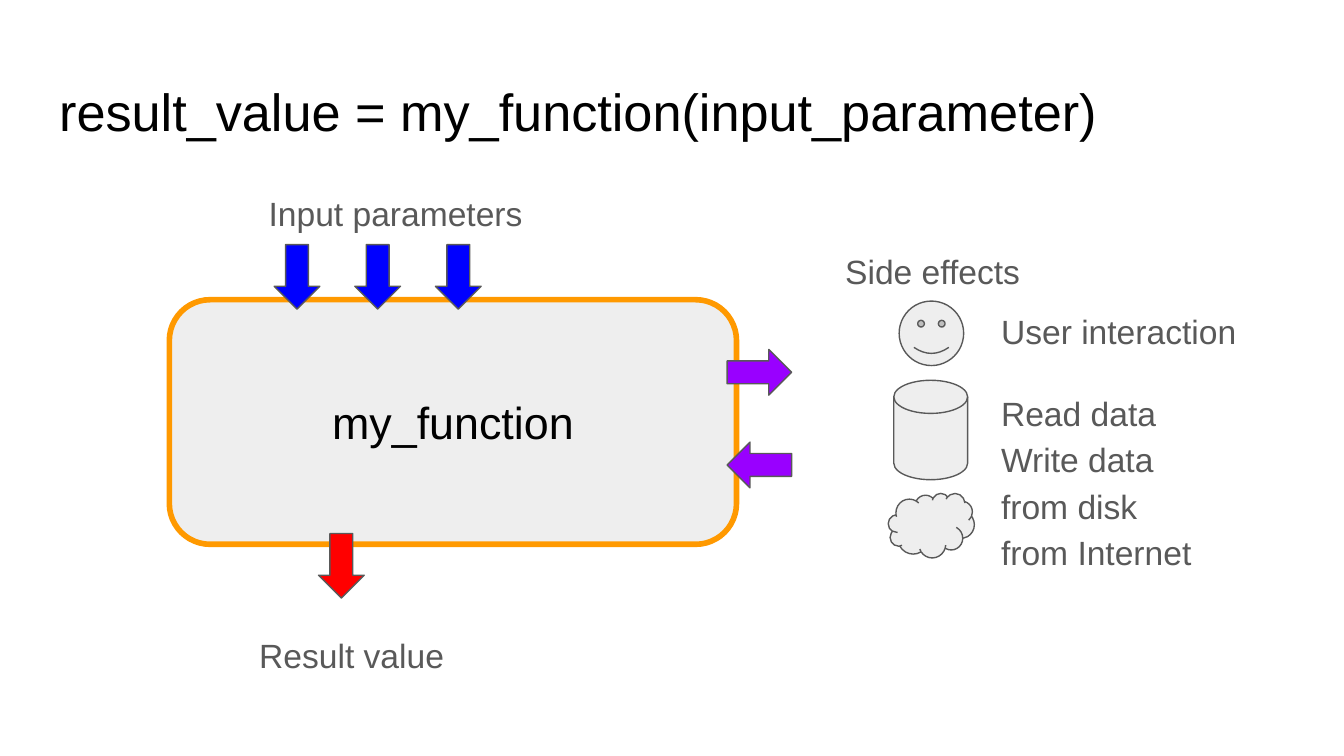
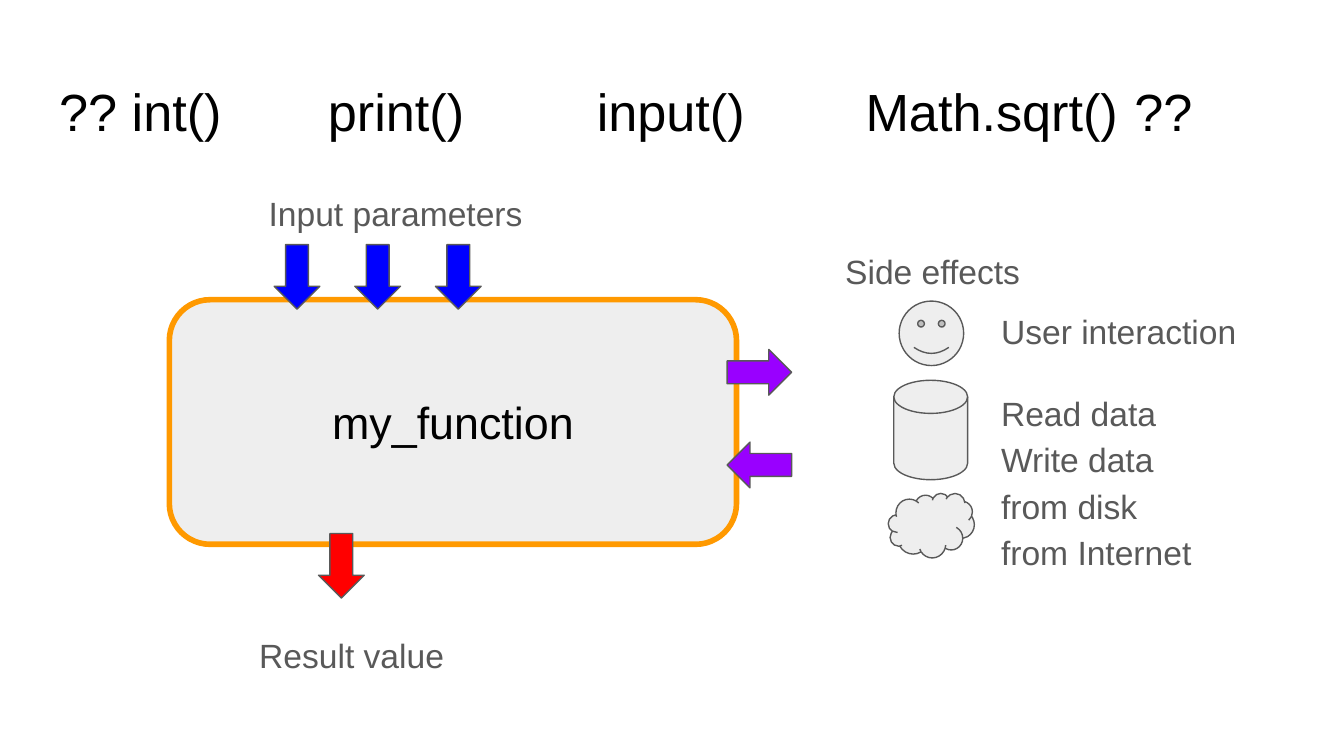
from dataclasses import dataclass

from lxml.etree import SubElement
from pptx import Presentation
from pptx.dml.color import RGBColor
from pptx.enum.shapes import MSO_SHAPE
from pptx.enum.text import MSO_ANCHOR, MSO_AUTO_SIZE, PP_ALIGN
from pptx.oxml.ns import qn
from pptx.shapes.autoshape import Shape
from pptx.slide import Slide
from pptx.text.text import TextFrame
from pptx.util import Inches, Pt

WIDTH = Inches(10)
HEIGHT = WIDTH * 9 // 16
FONT = "Arial"
BLACK, GRAY, PALE = "000000", "595959", "EEEEEE"
ORANGE, BLUE, RED, PURPLE = "FF9900", "0000FF", "FF0000", "9900FF"
TITLES = (
    "result_value = my_function(input_parameter)",
    "?? int()\tprint()\tinput()\tMath.sqrt()\t??",
)
TAB_GAP = 2
ROW = 0.63
ARROW = (0.34, 0.48)
FRAME = {
    "word_wrap": True,
    "auto_size": MSO_AUTO_SIZE.NONE,
    "margin_left": Inches(0.1),
    "margin_right": Inches(0.1),
    "margin_top": Inches(0.1),
    "margin_bottom": Inches(0.1),
}


@dataclass(frozen=True)
class Label:
    text: str
    left: float
    top: float
    width: float = 2.69


@dataclass(frozen=True)
class Arrow:
    left: float
    top: float
    fill: str
    turn: int = 0


@dataclass(frozen=True)
class Icon:
    kind: MSO_SHAPE
    box: tuple[float, float, float, float]


LABELS = (
    Label("Input parameters", 1.9, 1.29),
    Label("Side effects", 6.19, 1.72),
    Label("Result value", 1.83, 4.58),
    Label("User interaction", 7.35, 2.17, 2.25),
    Label("Read data\nWrite data\nfrom disk\nfrom Internet", 7.35, 2.78, 2.25),
)
ARROWS = (
    *(Arrow(2.04 + 0.6 * step, 1.82, BLUE) for step in range(3)),
    Arrow(2.37, 3.97, RED),
    Arrow(5.48, 2.53, PURPLE, 270),
    Arrow(5.48, 3.22, PURPLE, 90),
)
ICONS = (
    Icon(MSO_SHAPE.FLOWCHART_MAGNETIC_DISK, (6.65, 2.83, 0.55, 0.74)),
    Icon(MSO_SHAPE.SMILEY_FACE, (6.69, 2.24, 0.48, 0.48)),
    Icon(MSO_SHAPE.CLOUD, (6.61, 3.67, 0.64, 0.48)),
)


def apply(target: object, values: dict) -> None:
    """Set each named attribute on the target."""
    for name, value in values.items():
        setattr(target, name, value)


def color(code: str) -> RGBColor:
    """Turn a hex string into a colour."""
    return RGBColor.from_string(code)


def write(frame: TextFrame, text: str, size: int, tint: str,
          anchor: MSO_ANCHOR = MSO_ANCHOR.TOP, tabs: int = 0, **style) -> None:
    """Fill a frame with one styled paragraph."""
    apply(frame, FRAME | {"vertical_anchor": anchor})
    para = frame.paragraphs[0]
    para.text = text
    apply(para, {"alignment": PP_ALIGN.LEFT} | style)
    if tabs:
        stops = SubElement(para._p.get_or_add_pPr(), qn("a:tabLst"))
        for step in range(1, tabs + 1):
            place = str(Inches(TAB_GAP * step))
            SubElement(stops, qn("a:tab"), pos=place, algn="l")
    for run in para.runs:
        apply(run.font, {"name": FONT, "size": Pt(size)})
        run.font.color.rgb = color(tint)


def draw(slide: Slide, kind: MSO_SHAPE, box: tuple[float, ...], fill: str,
         edge: str = GRAY, weight: float = 0.75) -> Shape:
    """Draw a filled and outlined preset shape."""
    shape = slide.shapes.add_shape(kind, *map(Inches, box))
    shape.shadow.inherit = False
    shape.fill.solid()
    shape.fill.fore_color.rgb = color(fill)
    shape.line.color.rgb = color(edge)
    shape.line.width = Pt(weight)
    return shape


def add_title(slide: Slide, text: str) -> None:
    """Place and style the title."""
    title = slide.shapes.title
    apply(title, {"left": Inches(0.34), "top": Inches(0.49),
                  "width": Inches(9.32), "height": Inches(ROW)})
    write(title.text_frame, text, 28, BLACK, tabs=text.count("\t"))


def add_label(slide: Slide, label: Label) -> None:
    """Add a gray caption."""
    box = (label.left, label.top, label.width, ROW)
    frame = slide.shapes.add_textbox(*map(Inches, box)).text_frame
    write(frame, label.text, 18, GRAY, line_spacing=1.15, space_after=Pt(16))


def add_arrow(slide: Slide, arrow: Arrow) -> None:
    """Add a block arrow, turned as asked."""
    box = (arrow.left, arrow.top, *ARROW)
    draw(slide, MSO_SHAPE.DOWN_ARROW, box, arrow.fill).rotation = arrow.turn


def add_model(slide: Slide) -> None:
    """Draw the function with its inputs, result and side effects."""
    body = draw(slide, MSO_SHAPE.FLOWCHART_ALTERNATE_PROCESS,
                (1.26, 2.23, 4.22, 1.82), PALE, ORANGE, 3)
    write(body.text_frame, "my_function", 24, BLACK, MSO_ANCHOR.MIDDLE,
          alignment=PP_ALIGN.CENTER)
    for label in LABELS:
        add_label(slide, label)
    for arrow in ARROWS:
        add_arrow(slide, arrow)
    for icon in ICONS:
        draw(slide, icon.kind, icon.box, PALE)


def main() -> None:
    """Build and save the deck."""
    deck = Presentation()
    apply(deck, {"slide_width": WIDTH, "slide_height": HEIGHT})
    for text in TITLES:
        slide = deck.slides.add_slide(deck.slide_layouts[5])
        add_title(slide, text)
        add_model(slide)
    deck.save("out.pptx")


if __name__ == "__main__":
    main()
